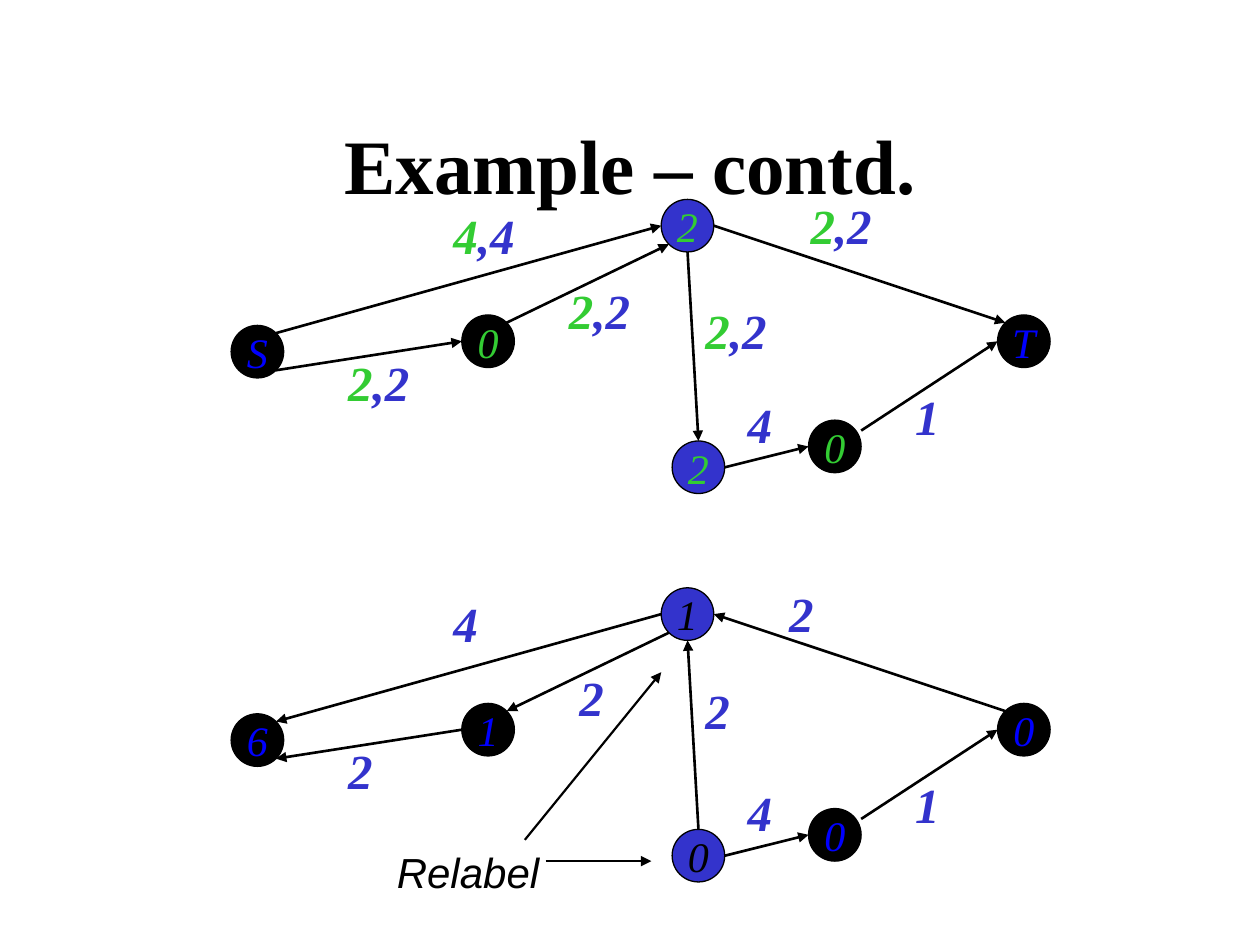
import math
from dataclasses import dataclass

import lxml.etree
import pptx
import pptx.dml.color
import pptx.enum.shapes
import pptx.enum.text
import pptx.oxml.ns
import pptx.util
from pptx.util import Cm


@dataclass(frozen=True)
class Theme:
    black: str = "000000"
    blue: str = "3333CC"
    bright: str = "0000FF"
    green: str = "33CC33"
    serif: str = "Times New Roman"
    sans: str = "Arial"
    title: float = 44
    weight: float = 28
    body: float = 24
    edge: float = 1.5
    pointer: float = 1.25
    outline: float = 0.75


@dataclass(frozen=True)
class Node:
    text: str
    color: str


@dataclass(frozen=True)
class Weight:
    x: float
    y: float
    free: str
    flow: str = ""


@dataclass(frozen=True)
class Graph:
    top: float
    nodes: dict[str, Node]
    weights: list[Weight]
    pushed_back: bool


T = Theme()
DIAMETER = 1.06
GRAPH_GAP = 7.83
ACTIVE = ("upper", "lower")
CENTERS = {
    "source": (5.19, 7.09), "left": (9.84, 6.88), "upper": (13.86, 4.55),
    "lower": (14.08, 9.42), "right": (16.83, 9.0), "sink": (20.64, 6.88),
}
# Start node and angle, end node and angle; degrees run clockwise from the right.
FLOW_EDGES = [
    ("source", -45, "upper", 180), ("source", 45, "left", 180),
    ("left", -45, "upper", 135), ("upper", 90, "lower", -90),
    ("upper", 0, "sink", -135),
]
OPEN_EDGES = [("lower", 0, "right", 180)]
SINK_EDGE_START = (17.36, 8.68)

GRAPHS = [
    Graph(
        0,
        {"source": Node("S", T.bright), "left": Node("0", T.green),
         "upper": Node("2", T.green), "lower": Node("2", T.green),
         "right": Node("0", T.green), "sink": Node("T", T.bright)},
        [Weight(8.89, 4.02, ",4", "4"), Weight(6.77, 6.98, ",2", "2"),
         Weight(11.22, 5.54, ",2", "2"), Weight(13.97, 5.93, ",2", "2"),
         Weight(16.09, 3.81, ",2", "2"), Weight(14.82, 7.83, "4"),
         Weight(18.2, 7.66, "1")],
        False,
    ),
    Graph(
        GRAPH_GAP,
        {"source": Node("6", T.bright), "left": Node("1", T.bright),
         "upper": Node("1", T.black), "lower": Node("0", T.black),
         "right": Node("0", T.bright), "sink": Node("0", T.bright)},
        [Weight(8.89, 4.02, "4"), Weight(6.77, 6.98, "2"),
         Weight(11.43, 5.5, "2"), Weight(13.97, 5.76, "2"),
         Weight(15.66, 3.81, "2"), Weight(14.82, 7.83, "4"),
         Weight(18.2, 7.66, "1")],
        True,
    ),
]


def rgb(color: str) -> pptx.dml.color.RGBColor:
    return pptx.dml.color.RGBColor.from_string(color)


def add_text(p, text: str, *, size: float, color: str = T.black,
             font: str = T.serif, bold: bool = False, italic: bool = False) -> None:
    r = p.add_run()
    r.text = text
    r.font.size = pptx.util.Pt(size)
    r.font.name = font
    r.font.bold = bold
    r.font.italic = italic
    r.font.color.rgb = rgb(color)


def add_arrow(s, start: tuple[float, float], end: tuple[float, float],
              width: float = T.edge, backward: bool = False) -> None:
    """Draw a line with its arrowhead at end, or at start when backward."""
    sp = s.shapes.add_connector(pptx.enum.shapes.MSO_CONNECTOR.STRAIGHT,
                                *map(Cm, start + end))
    sp.line.color.rgb = rgb(T.black)
    sp.line.width = pptx.util.Pt(width)
    tag = "a:headEnd" if backward else "a:tailEnd"
    lxml.etree.SubElement(sp.line._get_or_add_ln(), pptx.oxml.ns.qn(tag),
                          type="triangle")
    lxml.etree.SubElement(sp._element.spPr, pptx.oxml.ns.qn("a:effectLst"))


def add_node(s, center: tuple[float, float], node: Node, fill: str) -> None:
    x, y = center
    sp = s.shapes.add_shape(pptx.enum.shapes.MSO_SHAPE.OVAL,
                            Cm(x - DIAMETER / 2), Cm(y - DIAMETER / 2),
                            Cm(DIAMETER), Cm(DIAMETER))
    sp.shadow.inherit = False
    sp.fill.solid()
    sp.fill.fore_color.rgb = rgb(fill)
    sp.line.color.rgb = rgb(T.black)
    sp.line.width = pptx.util.Pt(T.outline)
    tf = sp.text_frame
    tf.word_wrap = False
    tf.vertical_anchor = pptx.enum.text.MSO_ANCHOR.MIDDLE
    p = tf.paragraphs[0]
    p.alignment = pptx.enum.text.PP_ALIGN.CENTER
    add_text(p, node.text, size=T.body, color=node.color, italic=True)


def add_box(s, x: float, y: float, w: float, h: float, wrap: bool = True):
    """Add a text box that grows with its text and return its paragraph."""
    tf = s.shapes.add_textbox(Cm(x), Cm(y), Cm(w), Cm(h)).text_frame
    tf.word_wrap = wrap
    tf.auto_size = pptx.enum.text.MSO_AUTO_SIZE.SHAPE_TO_FIT_TEXT
    return tf.paragraphs[0]


def add_weight(s, weight: Weight, top: float) -> None:
    p = add_box(s, weight.x, weight.y + top, 1.91 if weight.flow else 1.06, 1.45)
    for text, color in ((weight.flow, T.green), (weight.free, T.blue)):
        if text:
            add_text(p, text, size=T.weight, color=color, bold=True, italic=True)


def draw_graph(s, graph: Graph) -> None:
    centers = {name: (x, y + graph.top) for name, (x, y) in CENTERS.items()}

    def rim(name: str, angle: float) -> tuple[float, float]:
        x, y = centers[name]
        a = math.radians(angle)
        return x + DIAMETER / 2 * math.cos(a), y + DIAMETER / 2 * math.sin(a)

    for edges, backward in ((FLOW_EDGES, graph.pushed_back), (OPEN_EDGES, False)):
        for start, start_angle, end, end_angle in edges:
            add_arrow(s, rim(start, start_angle), rim(end, end_angle),
                      backward=backward)
    x, y = SINK_EDGE_START
    add_arrow(s, (x, y + graph.top), rim("sink", 180))
    for name, node in graph.nodes.items():
        add_node(s, centers[name], node, T.blue if name in ACTIVE else T.black)
    for weight in graph.weights:
        add_weight(s, weight, graph.top)


def add_title(s, text: str) -> None:
    sp = s.shapes.title
    sp.left, sp.top, sp.width, sp.height = map(Cm, (1.91, 1.7, 21.59, 3.18))
    tf = sp.text_frame
    tf.vertical_anchor = pptx.enum.text.MSO_ANCHOR.MIDDLE
    p = tf.paragraphs[0]
    p.alignment = pptx.enum.text.PP_ALIGN.CENTER
    add_text(p, text, size=T.title, bold=True)


def main() -> None:
    prs = pptx.Presentation()
    prs.slide_width, prs.slide_height = Cm(25.4), Cm(19.05)
    s = prs.slides.add_slide(prs.slide_layouts[5])
    add_title(s, "Example – contd.")
    for graph in GRAPHS:
        draw_graph(s, graph)
    add_text(add_box(s, 7.75, 16.94, 3.38, 1.27, wrap=False), "Relabel",
             size=T.body, font=T.sans, italic=True)
    add_arrow(s, (11.0, 17.36), (13.13, 17.36), T.pointer)
    add_arrow(s, (10.58, 16.93), (13.33, 13.55), T.pointer)
    prs.save("out.pptx")


if __name__ == "__main__":
    main()
